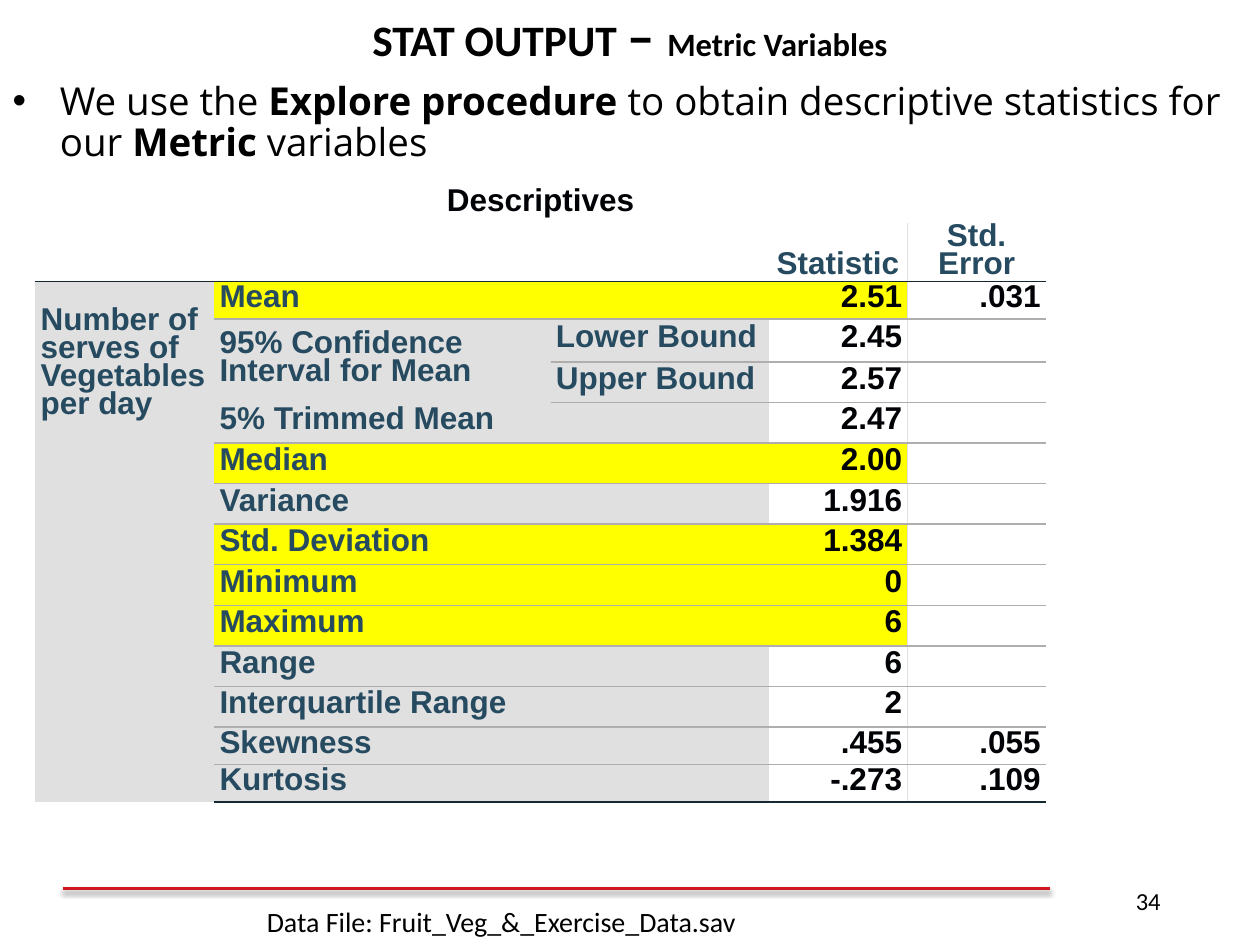
import dataclasses

import lxml.etree
import pptx
import pptx.dml.color
import pptx.enum.shapes
import pptx.enum.text
import pptx.oxml.ns
import pptx.util

Pt = pptx.util.Pt
qn = pptx.oxml.ns.qn
ALIGN = pptx.enum.text.PP_ALIGN
ANCHOR = pptx.enum.text.MSO_ANCHOR


@dataclasses.dataclass(frozen=True)
class Theme:
    ink: str = "000000"
    value: str = "010205"
    label: str = "264A60"
    paper: str = "FFFFFF"
    stub: str = "E0E0E0"
    highlight: str = "FFFF00"
    frame: str = "152935"
    divider: str = "AEAEAE"
    rule: str = "D1161E"
    heading_font: str = "Calibri"
    body_font: str = "Open Sans"
    table_font: str = "Arial"
    heading: float = 24.8
    dash: float = 31.8
    subheading: float = 18.6
    body: float = 22
    table: float = 18
    table_line: float = 16
    source: float = 16
    number: float = 14


THEME = Theme()
NO_STYLE = "{2D5ABB26-0587-4C30-8999-92F81FD0307C}"

# Label, bound, statistic, standard error
STATISTICS = [
    ("Mean", "", "2.51", ".031"),
    ("95% Confidence Interval for Mean", "Lower Bound", "2.45", ""),
    ("", "Upper Bound", "2.57", ""),
    ("5% Trimmed Mean", "", "2.47", ""),
    ("Median", "", "2.00", ""),
    ("Variance", "", "1.916", ""),
    ("Std. Deviation", "", "1.384", ""),
    ("Minimum", "", "0", ""),
    ("Maximum", "", "6", ""),
    ("Range", "", "6", ""),
    ("Interquartile Range", "", "2", ""),
    ("Skewness", "", ".455", ".055"),
    ("Kurtosis", "", "-.273", ".109"),
]
HIGHLIGHTED = {"Mean", "Median", "Std. Deviation", "Minimum", "Maximum"}
COLUMN_WIDTHS = [102.25, 192.25, 124.5, 79.25, 79.25]
ROW_HEIGHTS = [21.5, 33.5, 21.5, 24.5] + [23.2] * 9 + [21.5] * 2


def rgb(value):
    return pptx.dml.color.RGBColor.from_string(value)


def add_run(paragraph, text, font, size, color, bold=False):
    run = paragraph.add_run()
    run.text = text
    run.font.name = font
    run.font.size = Pt(size)
    run.font.bold = bold
    run.font.color.rgb = rgb(color)


def place(part, box):
    part.left, part.top, part.width, part.height = map(Pt, box)


def add_title(slide, box):
    title = slide.shapes.title
    place(title, box)
    title.text_frame.auto_size = pptx.enum.text.MSO_AUTO_SIZE.NONE
    title.text_frame.vertical_anchor = ANCHOR.MIDDLE
    heading = title.text_frame.paragraphs[0]
    heading.alignment = ALIGN.CENTER
    heading.line_spacing = 0.8
    for text, size in (("STAT OUTPUT ", THEME.heading), ("– ", THEME.dash),
                       ("Metric Variables", THEME.subheading)):
        add_run(heading, text, THEME.heading_font, size, THEME.ink, True)


def add_intro(slide, box):
    intro = slide.placeholders[1]
    place(intro, box)
    intro.fill.solid()
    intro.fill.fore_color.rgb = rgb(THEME.paper)
    intro.text_frame.auto_size = pptx.enum.text.MSO_AUTO_SIZE.NONE
    sentence = intro.text_frame.paragraphs[0]
    properties = sentence._p.get_or_add_pPr()
    properties.set("marL", str(Pt(27)))
    properties.set("indent", str(Pt(-27)))
    lxml.etree.SubElement(properties, qn("a:buChar"), char="•")
    sentence.space_before = Pt(0)
    sentence.line_spacing = 0.9
    for text, bold in (("We use the ", False), ("Explore procedure ", True),
                       ("to obtain descriptive statistics for our ", False),
                       ("Metric", True), (" variables", False)):
        add_run(sentence, text, THEME.body_font, THEME.body, THEME.ink, bold)


def add_border(cell, side, color):
    line = lxml.etree.SubElement(cell._tc.get_or_add_tcPr(), qn("a:ln" + side), w=str(Pt(1)))
    solid = lxml.etree.SubElement(line, qn("a:solidFill"))
    lxml.etree.SubElement(solid, qn("a:srgbClr"), val=color)


def fill_cell(cell, text, fill, color=THEME.label, align=ALIGN.LEFT, anchor=ANCHOR.MIDDLE):
    cell.fill.solid()
    cell.fill.fore_color.rgb = rgb(fill)
    cell.margin_top = cell.margin_bottom = 0
    cell.margin_left = cell.margin_right = Pt(3)
    cell.vertical_anchor = anchor
    entry = cell.text_frame.paragraphs[0]
    entry.alignment = align
    entry.line_spacing = Pt(THEME.table_line)
    if text:
        add_run(entry, text, THEME.table_font, THEME.table, color, True)


def add_descriptives(slide, box):
    row_count, column_count = len(ROW_HEIGHTS), len(COLUMN_WIDTHS)
    table = slide.shapes.add_table(row_count, column_count, *map(Pt, box)).table
    table.first_row = table.horz_banding = False
    table._tbl.tblPr.find(qn("a:tableStyleId")).text = NO_STYLE
    for column, width in zip(table.columns, COLUMN_WIDTHS):
        column.width = Pt(width)
    for row, height in zip(table.rows, ROW_HEIGHTS):
        row.height = Pt(height)

    # Borders: dark frame under header and last row, light dividers between
    last = row_count - 1
    for r in range(1, row_count):
        for c in range(column_count):
            if c == 3:
                add_border(table.cell(r, c), "R", THEME.stub)
            if r in (1, last):
                add_border(table.cell(r, c), "B", THEME.frame)
            elif c > 0 and (r, c) != (3, 1):
                add_border(table.cell(r, c), "B", THEME.divider)

    # Caption and column headings
    table.cell(0, 0).merge(table.cell(0, 4))
    fill_cell(table.cell(0, 0), "Descriptives", THEME.paper, THEME.value, ALIGN.CENTER)
    table.cell(1, 0).merge(table.cell(1, 2))
    fill_cell(table.cell(1, 0), "", THEME.paper)
    for c, heading in ((3, "Statistic"), (4, "Std. Error")):
        fill_cell(table.cell(1, c), heading, THEME.paper, align=ALIGN.CENTER,
                  anchor=ANCHOR.BOTTOM)

    # Variable name, one line below the top of its cell
    variable = table.cell(2, 0)
    variable.merge(table.cell(last, 0))
    fill_cell(variable, "Number of serves of Vegetables per day", THEME.stub,
              anchor=ANCHOR.TOP)
    variable.margin_top = Pt(THEME.table_line)

    # Statistics
    table.cell(3, 1).merge(table.cell(4, 1))
    for r, (label, bound, statistic, error) in enumerate(STATISTICS, 2):
        marked = label in HIGHLIGHTED
        stub = THEME.highlight if marked else THEME.stub
        if not bound:
            table.cell(r, 1).merge(table.cell(r, 2))
        fill_cell(table.cell(r, 1), label, stub)
        fill_cell(table.cell(r, 2), bound, stub)
        fill_cell(table.cell(r, 3), statistic, THEME.highlight if marked else THEME.paper,
                  THEME.value, ALIGN.RIGHT)
        fill_cell(table.cell(r, 4), error, THEME.paper, THEME.value, ALIGN.RIGHT)


def add_footer_rule(slide, box):
    left, top, width, height = box
    rule = slide.shapes.add_connector(pptx.enum.shapes.MSO_CONNECTOR.STRAIGHT, Pt(left),
                                      Pt(top), Pt(left + width), Pt(top + height))
    rule.line.color.rgb = rgb(THEME.rule)
    rule.line.width = Pt(2)
    effects = lxml.etree.SubElement(rule._element.spPr, qn("a:effectLst"))
    shadow = lxml.etree.SubElement(effects, qn("a:outerShdw"), blurRad=str(Pt(3.1)),
                                   dist=str(Pt(1.6)), dir="5400000", rotWithShape="0")
    tint = lxml.etree.SubElement(shadow, qn("a:srgbClr"), val=THEME.ink)
    lxml.etree.SubElement(tint, qn("a:alpha"), val="38000")


def add_footer_text(slide, box, text, size, anchor):
    frame = slide.shapes.add_textbox(*map(Pt, box)).text_frame
    frame.word_wrap = True
    frame.vertical_anchor = anchor
    frame.paragraphs[0].alignment = ALIGN.RIGHT
    add_run(frame.paragraphs[0], text, THEME.heading_font, size, THEME.ink)


def main():
    deck = pptx.Presentation()
    deck.slide_width, deck.slide_height = Pt(720), Pt(540)
    slide = deck.slides.add_slide(deck.slide_layouts[1])
    add_footer_rule(slide, (36, 507.6, 563.8, 0))
    add_intro(slide, (0, 43.2, 720, 55.4))
    add_title(slide, (0, 3.6, 720, 39.6))
    add_footer_text(slide, (87.8, 513.4, 343.4, 26.6),
                    "Data File: Fruit_Veg_&_Exercise_Data.sav ", THEME.source, ANCHOR.TOP)
    add_descriptives(slide, (20.2, 105.8, sum(COLUMN_WIDTHS), sum(ROW_HEIGHTS)))
    add_footer_text(slide, (508.3, 500.4, 162, 28.8), "34", THEME.number, ANCHOR.MIDDLE)
    deck.save("out.pptx")


if __name__ == "__main__":
    main()
